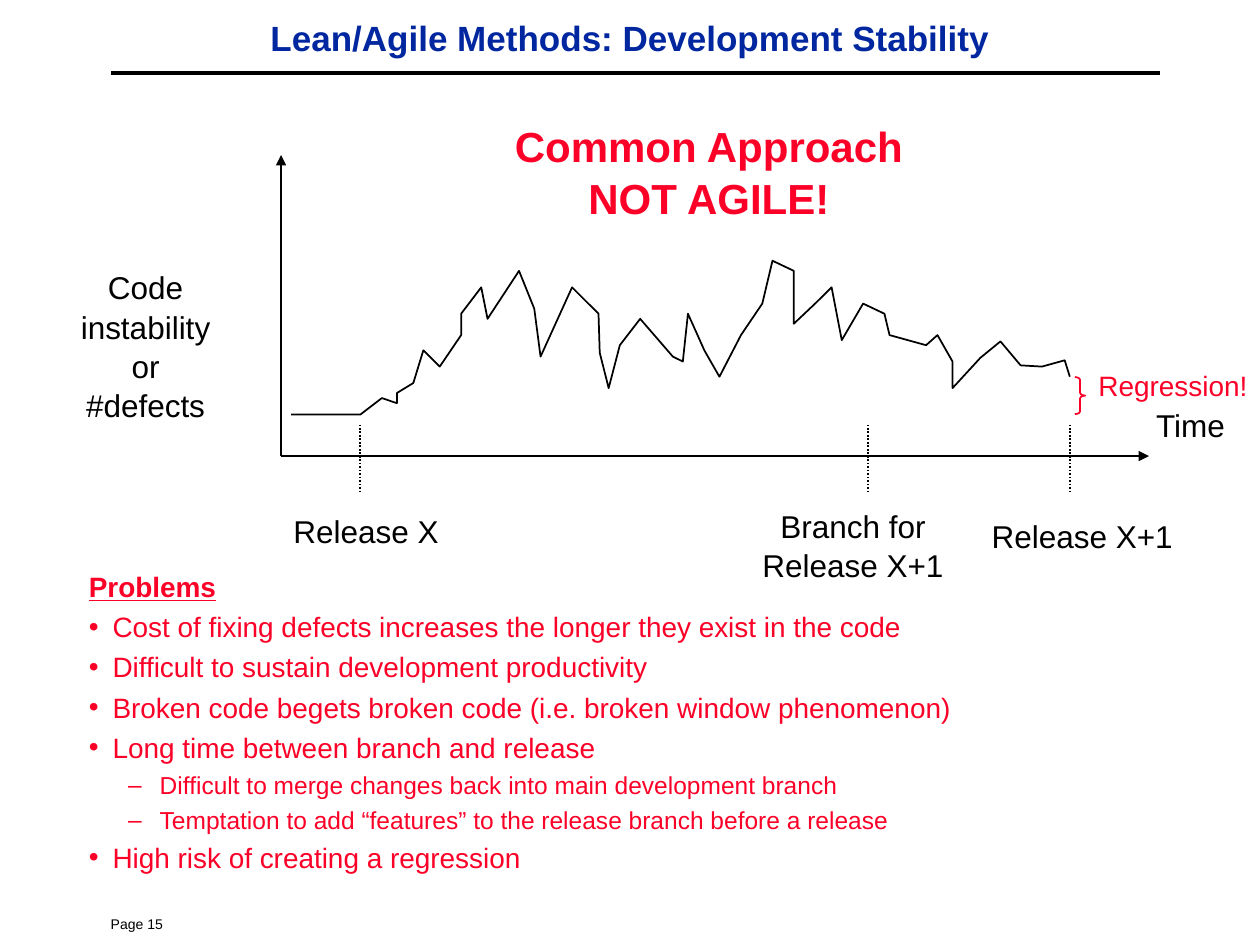
from dataclasses import dataclass

from lxml import etree
from pptx import Presentation
from pptx.dml.color import RGBColor
from pptx.enum import dml, shapes, text
from pptx.oxml import ns
from pptx import util as u


@dataclass(frozen=True)
class Theme:
    font: str = "Arial"
    ink: str = "000000"
    blue: str = "00279F"
    red: str = "FC0128"
    headline: int = 24
    title: int = 20
    label: int = 18
    body: int = 16
    detail: int = 14
    footer: int = 8
    leading: float = 1.04


def add_text(para, content, *, font, size, color, bold=False, underline=False):
    span = para.add_run()
    span.text = content
    span.font.name = font
    span.font.size = u.Pt(size)
    span.font.bold = bold
    span.font.underline = underline
    span.font.color.rgb = RGBColor.from_string(color)


def add_xml(parent, tag, **attributes):
    return etree.SubElement(parent, ns.qn(tag), attributes)


class SlideWriter:
    def __init__(self, page, theme):
        self.page = page
        self.theme = theme

    def frame(self, left, top, width, height, wrap=True, anchor=text.MSO_ANCHOR.TOP):
        box = self.page.shapes.add_textbox(*map(u.Pt, (left, top, width, height)))
        box.text_frame.word_wrap = wrap
        box.text_frame.vertical_anchor = anchor
        return box.text_frame

    def paragraph(self, frame, first):
        para = frame.paragraphs[0] if first else frame.add_paragraph()
        para.line_spacing = self.theme.leading
        return para

    def label(self, lines, place, size, color=None, bold=False,
              align=text.PP_ALIGN.CENTER, **frame_format):
        frame = self.frame(*place, **frame_format)
        for index, line in enumerate(lines):
            para = self.paragraph(frame, index == 0)
            para.alignment = align
            add_text(para, line, font=self.theme.font, size=size,
                     color=color or self.theme.ink, bold=bold)

    def bullets(self, heading, items, place):
        theme = self.theme
        frame = self.frame(*place)
        levels = {0: ("•", 27, 13.5, theme.body, 3),
                  1: ("–", 54, 18, theme.detail, 2.6)}
        for index, (level, content) in enumerate([(0, heading)] + items):
            mark, margin, hanging, size, after = levels[level]
            is_heading = index == 0
            para = self.paragraph(frame, is_heading)
            para.level = level
            para.space_after = u.Pt(after)
            props = para._p.get_or_add_pPr()
            props.set("marL", str(u.Pt(margin)))
            props.set("indent", str(-u.Pt(hanging)))
            if not is_heading:
                color = add_xml(props, "a:buClr")
                add_xml(color, "a:srgbClr", val=theme.red)
                add_xml(props, "a:buFont", typeface=theme.font)
                add_xml(props, "a:buChar", char=mark)
            add_text(para, content, font=theme.font, size=size, color=theme.red,
                     bold=is_heading, underline=is_heading)

    def stroke(self, item, color, width):
        item.line.color.rgb = RGBColor.from_string(color)
        item.line.width = u.Pt(width)

    def line(self, start, end, width=1, arrow=False, dash=None):
        link = self.page.shapes.add_connector(
            shapes.MSO_CONNECTOR.STRAIGHT, *map(u.Pt, (*start, *end)))
        self.stroke(link, self.theme.ink, width)
        if dash:
            link.line.dash_style = dash
        if arrow:
            add_xml(link.line._get_or_add_ln(), "a:tailEnd", type="triangle")
        add_xml(link._element.spPr, "a:effectLst")

    def polyline(self, points):
        start, *rest = [(u.Pt(x), u.Pt(y)) for x, y in points]
        builder = self.page.shapes.build_freeform(*start)
        builder.add_line_segments(rest, close=False)
        curve = builder.convert_to_shape()
        curve.shadow.inherit = False
        curve.fill.background()
        self.stroke(curve, self.theme.ink, 1)

    def brace(self, left, top, width, height):
        brace = self.page.shapes.add_shape(
            shapes.MSO_SHAPE.RIGHT_BRACE, *map(u.Pt, (left, top, width, height)))
        brace.adjustments[0] = 0.27
        brace.shadow.inherit = False
        brace.fill.background()
        self.stroke(brace, self.theme.red, 1)


INSTABILITY = [
    (166.3, 236.9), (205.9, 236.9), (218.2, 227.5), (226.8, 230.4), (226.8, 224.6),
    (236.2, 218.9), (241.9, 200.2), (251.3, 209.5), (263.5, 191.5), (263.5, 179.3),
    (275, 164.2), (278.6, 182.2), (296.6, 154.8), (305.3, 176.4), (308.9, 203.8),
    (326.9, 164.2), (342, 179.3), (342.7, 201.6), (347.8, 221.8), (354.2, 197.3),
    (365.8, 182.2), (384.5, 203.8), (390.2, 206.6), (393.1, 179.3), (402.5, 200.2),
    (411.1, 215.3), (423.4, 191.5), (435.6, 173.5), (441.4, 149), (453.6, 154.8),
    (453.6, 185), (465.8, 173.5), (475.2, 164.2), (481, 194.4), (493.2, 173.5),
    (505.4, 179.3), (508.3, 191.5), (529.2, 197.3), (535.7, 191.5), (544.3, 206.6),
    (544.3, 221.8), (560.2, 204.5), (571.7, 195.1), (583.2, 208.8), (595.4, 209.5),
    (608.4, 205.9), (611.3, 215.3),
]

PROBLEMS = [
    (0, "Cost of fixing defects increases the longer they exist in the code"),
    (0, "Difficult to sustain development productivity"),
    (0, "Broken code begets broken code (i.e. broken window phenomenon)"),
    (0, "Long time between branch and release"),
    (1, "Difficult to merge changes back into main development branch"),
    (1, "Temptation to add “features” to the release branch before a release"),
    (0, "High risk of creating a regression"),
]


def main():
    theme = Theme()
    deck = Presentation()
    deck.slide_width, deck.slide_height = u.Pt(720), u.Pt(540)
    page = deck.slides.add_slide(deck.slide_layouts[6])
    writer = SlideWriter(page, theme)

    writer.line((63.4, 41.8), (663, 41.8), width=2)
    writer.label(["Lean/Agile Methods: Development Stability"], (54, 5.8, 612, 30.2),
                 theme.title, theme.blue, bold=True, anchor=text.MSO_ANCHOR.MIDDLE)
    writer.label(["Page 15"], (56.2, 519, 150, 16), theme.footer,
                 align=text.PP_ALIGN.LEFT)

    origin = (160.6, 260.6)
    writer.line(origin, (160.6, 88.6), arrow=True)
    writer.line(origin, (656.6, 260.6), arrow=True)
    for milestone in (205.9, 496.1, 611.3):
        writer.line((milestone, 242.6), (milestone, 282.2),
                    dash=dml.MSO_LINE.ROUND_DOT)
    writer.polyline(INSTABILITY)
    writer.brace(614.2, 215.5, 6, 21.2)

    for lines, place in [
        (["Code instability", "or", "#defects"], (15.1, 149, 136.1, 93.6)),
        (["Time"], (653, 227.5, 54.7, 28.8)),
        (["Release X"], (160.6, 288, 97.2, 28.8)),
        (["Branch for", "Release X+1"], (428.4, 285.1, 118.1, 50.4)),
        (["Release X+1"], (559.4, 290.9, 118.1, 28.8)),
    ]:
        writer.label(lines, place, theme.label, wrap=False)
    writer.label(["Regression!"], (620.6, 206.6, 99.4, 25.9), theme.body, theme.red,
                 align=text.PP_ALIGN.LEFT, wrap=False)
    writer.label(["Common Approach", "NOT AGILE!"], (286.6, 64.1, 236.9, 64.8),
                 theme.headline, theme.red, bold=True, wrap=False)
    writer.bullets("Problems", PROBLEMS, (30.2, 321.1, 526.3, 176.4))

    deck.save("out.pptx")


if __name__ == "__main__":
    main()
